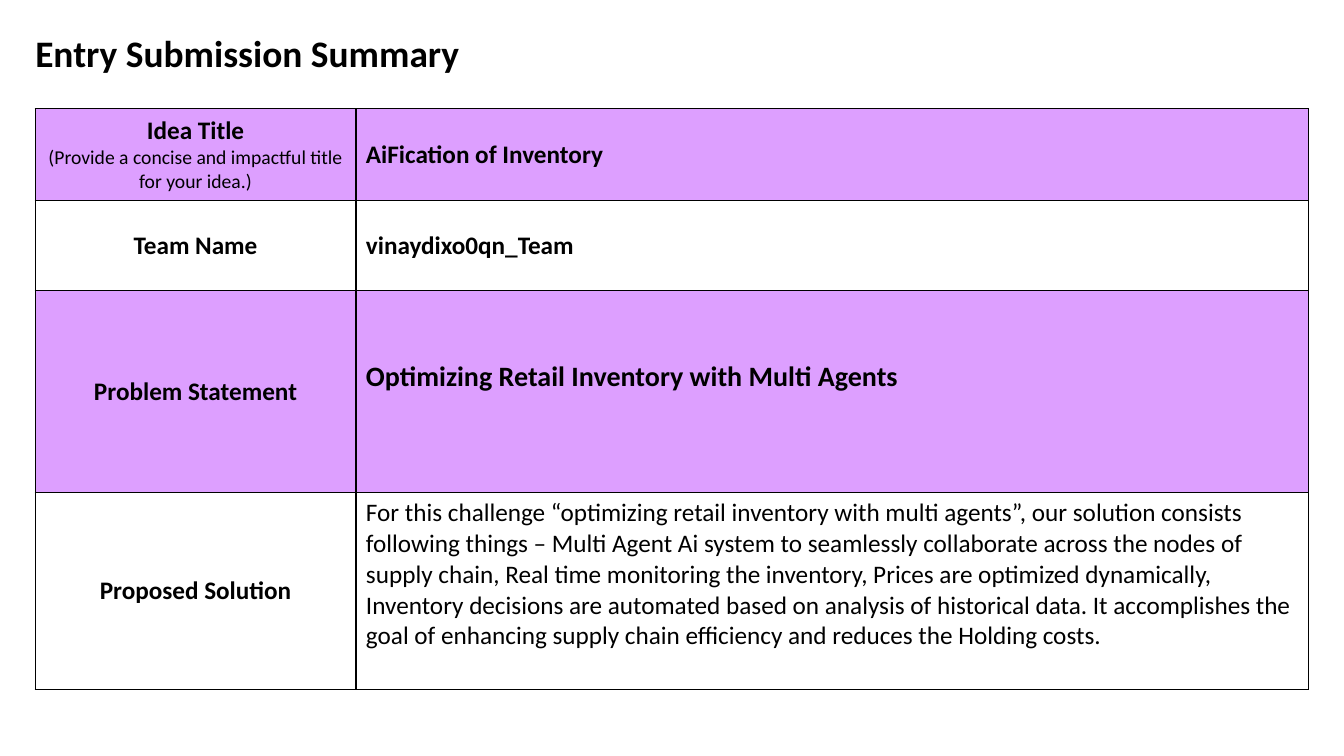
from dataclasses import dataclass

from lxml import etree
from pptx import Presentation
from pptx.dml.color import RGBColor
from pptx.enum.text import MSO_ANCHOR, PP_ALIGN
from pptx.oxml.ns import qn
from pptx.util import Inches, Pt

CENTER, LEFT = PP_ALIGN.CENTER, PP_ALIGN.LEFT
MIDDLE, TOP = MSO_ANCHOR.MIDDLE, MSO_ANCHOR.TOP


@dataclass(frozen=True)
class Theme:
    font: str = "Calibri"
    ink: str = "000000"
    band: str = "DD9FFF"
    paper: str = "FFFFFF"
    title: float = 26.7
    body: float = 18
    hint: float = 14
    statement: float = 20
    border: float = 1


@dataclass(frozen=True)
class Entry:
    label: str
    answer: str
    height: float
    size: float = Theme.body
    bold: bool = True
    anchor: MSO_ANCHOR = MIDDLE
    bottom_margin: float = 0.05


COLUMN_WIDTHS = (3.18, 9.45)
ENTRIES = (
    Entry("Idea Title\v(Provide a concise and impactful title for your idea.)",
          "AiFication of Inventory", 0.91),
    Entry("Team Name", "vinaydixo0qn_Team", 0.89),
    Entry("Problem Statement", "Optimizing Retail Inventory with Multi Agents",
          2.01, size=Theme.statement, bottom_margin=0.35),
    Entry("Proposed Solution",
          "For this challenge “optimizing retail inventory with multi agents”, "
          "our solution consists following things – Multi Agent Ai system to "
          "seamlessly collaborate across the nodes of supply chain, Real time "
          "monitoring the inventory, Prices are optimized dynamically, Inventory "
          "decisions are automated based on analysis of historical data. It "
          "accomplishes the goal of enhancing supply chain efficiency and reduces "
          "the Holding costs.", 1.95, bold=False, anchor=TOP),
)


class SlideBuilder:
    def __init__(self, slide, theme):
        self.slide = slide
        self.theme = theme

    def style_run(self, run, size, bold=True):
        run.font.name = self.theme.font
        run.font.size = Pt(size)
        run.font.bold = bold
        run.font.color.rgb = RGBColor.from_string(self.theme.ink)

    def add_title(self, text, left, top, width, height):
        box = self.slide.shapes.add_textbox(
            Inches(left), Inches(top), Inches(width), Inches(height))
        frame = box.text_frame
        frame.word_wrap = True
        frame.margin_left = frame.margin_top = frame.margin_bottom = 0
        frame.margin_right = Inches(0.13)
        frame.text = text
        paragraph = frame.paragraphs[0]
        paragraph.line_spacing = 0.8
        self.style_run(paragraph.runs[0], self.theme.title)

    def add_borders(self, cell):
        """Outline all four sides; borders must precede the fill in the XML."""
        properties = cell._tc.get_or_add_tcPr()
        for index, side in enumerate(("a:lnL", "a:lnR", "a:lnT", "a:lnB")):
            line = etree.Element(qn(side), w=str(Pt(self.theme.border)))
            fill = etree.SubElement(line, qn("a:solidFill"))
            etree.SubElement(fill, qn("a:srgbClr"), val=self.theme.ink)
            properties.insert(index, line)

    def fill_cell(self, cell, text, color, alignment, anchor=MIDDLE):
        cell.fill.solid()
        cell.fill.fore_color.rgb = RGBColor.from_string(color)
        self.add_borders(cell)
        cell.vertical_anchor = anchor
        paragraph = cell.text_frame.paragraphs[0]
        paragraph.text = text
        paragraph.alignment = alignment
        return paragraph.runs

    def add_entry_table(self, entries, left, top):
        frame = self.slide.shapes.add_table(
            len(entries), len(COLUMN_WIDTHS), Inches(left), Inches(top),
            Inches(sum(COLUMN_WIDTHS)),
            Inches(sum(entry.height for entry in entries)))
        table = frame.table
        for column, width in zip(table.columns, COLUMN_WIDTHS):
            column.width = Inches(width)
        for index, entry in enumerate(entries):
            table.rows[index].height = Inches(entry.height)
            color = self.theme.paper if index % 2 else self.theme.band
            label_cell, answer_cell = table.rows[index].cells
            heading, *hints = self.fill_cell(label_cell, entry.label, color, CENTER)
            self.style_run(heading, self.theme.body)
            for hint in hints:
                self.style_run(hint, self.theme.hint, bold=False)
            answer_cell.margin_bottom = Inches(entry.bottom_margin)
            for run in self.fill_cell(
                    answer_cell, entry.answer, color, LEFT, entry.anchor):
                self.style_run(run, entry.size, entry.bold)


def main():
    presentation = Presentation()
    presentation.slide_width = Inches(13.33)
    presentation.slide_height = Inches(7.5)
    slide = presentation.slides.add_slide(presentation.slide_layouts[6])
    builder = SlideBuilder(slide, Theme())
    builder.add_title("Entry Submission Summary", 0.35, 0.39, 12.29, 0.93)
    builder.add_entry_table(ENTRIES, 0.35, 1.08)
    presentation.save("out.pptx")


if __name__ == "__main__":
    main()
